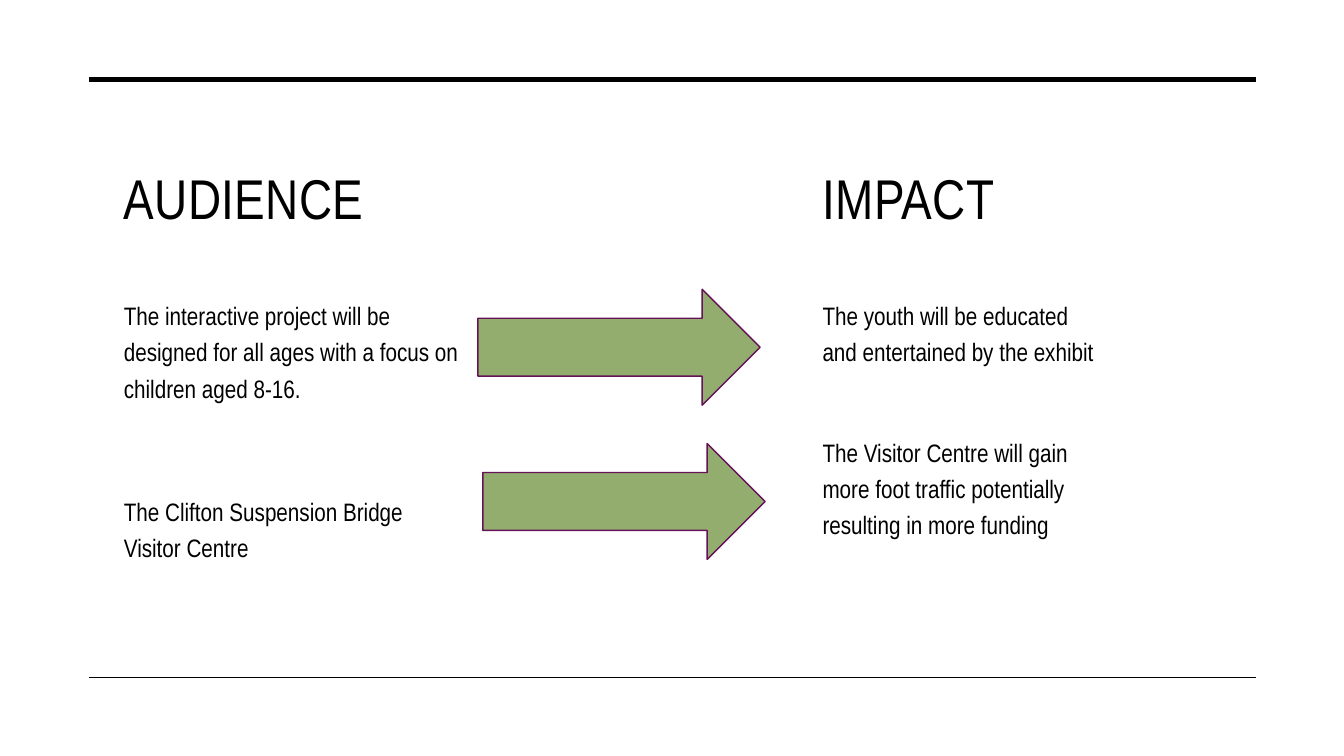
from pptx import Presentation
from pptx.dml.color import RGBColor as Rgb
from pptx.enum.shapes import MSO_CONNECTOR as Conn, MSO_SHAPE as Form
from pptx.enum.text import MSO_ANCHOR as Anchor
from pptx.oxml.ns import qn
from pptx.util import Inches, Pt
from lxml.etree import SubElement as Sub

WIDE, HIGH = Inches(13.33), Inches(7.5)
INK = {"text": "000000", "fill": "92AD6E", "edge": "651258"}


class Board:
    """Draws on one slide; lengths are percent of its width and height."""

    def __init__(self, slide, face="Arial Narrow"):
        self.shapes = slide.shapes
        self.face = face

    def place(self, x, y, w, h):
        return [round(part * side / 100)
                for part, side in zip((x, y, w, h), (WIDE, HIGH) * 2)]

    def rule(self, x, y, end, weight):
        line = self.shapes.add_connector(
            Conn.STRAIGHT, *self.place(x, y, end, y))
        line.line.color.rgb = Rgb.from_string(INK["text"])
        line.line.width = Pt(weight)
        Sub(line._element.spPr, qn("a:effectLst"))

    def text(self, box, lines, size, gap=0, pitch=1.0, anchor=Anchor.TOP):
        frame = self.shapes.add_textbox(*self.place(*box)).text_frame
        frame.word_wrap = True
        frame.vertical_anchor = anchor
        for i, words in enumerate(lines):
            para = frame.add_paragraph() if i else frame.paragraphs[0]
            para.text = words
            para.line_spacing = pitch
            para.space_before = Pt(gap if i else 0)
            para.font.name = self.face
            para.font.size = Pt(size)
            para.font.color.rgb = Rgb.from_string(INK["text"])
        return frame

    def title(self, x, w, words):
        frame = self.text((x, 16.13, w, 20), [words], 40,
                          anchor=Anchor.MIDDLE)
        run = frame.paragraphs[0].runs[0]
        run.font._element.set("spc", "30")

    def body(self, x, w, lines, gap):
        self.text((x, TOP, w, 53.07), lines, 18, gap, 1.2)

    def arrow(self, x, y):
        shape = self.shapes.add_shape(
            Form.RIGHT_ARROW, *self.place(x, y, 21, 15.33))
        shape.shadow.inherit = False
        shape.fill.solid()
        shape.fill.fore_color.rgb = Rgb.from_string(INK["fill"])
        shape.line.color.rgb = Rgb.from_string(INK["edge"])
        shape.line.width = Pt(1)


LEFT, RIGHT, TOP = 8.48, 60.46, 38.27


def main():
    deck = Presentation()
    deck.slide_width, deck.slide_height = WIDE, HIGH
    board = Board(deck.slides.add_slide(deck.slide_layouts[6]))

    for y, weight in ((10.53, 3.5), (89.6, 1)):
        board.rule(6.6, y, 93.47, weight)

    board.title(LEFT, 42.98, "AUDIENCE")
    board.title(RIGHT, 34.5, "IMPACT")
    board.body(LEFT, 26.48, [
        "The interactive project will be designed for all ages "
        "with a focus on children aged 8-16.",
        "The Clifton Suspension Bridge Visitor Centre"], 62)
    board.body(RIGHT, 22.2, [
        "The youth will be educated and entertained by the exhibit",
        "The Visitor Centre will gain more foot traffic potentially "
        "resulting in more funding"], 46)

    for x, y in ((35.56, TOP), (35.93, 58.67)):
        board.arrow(x, y)

    deck.save("out.pptx")


if __name__ == "__main__":
    main()
